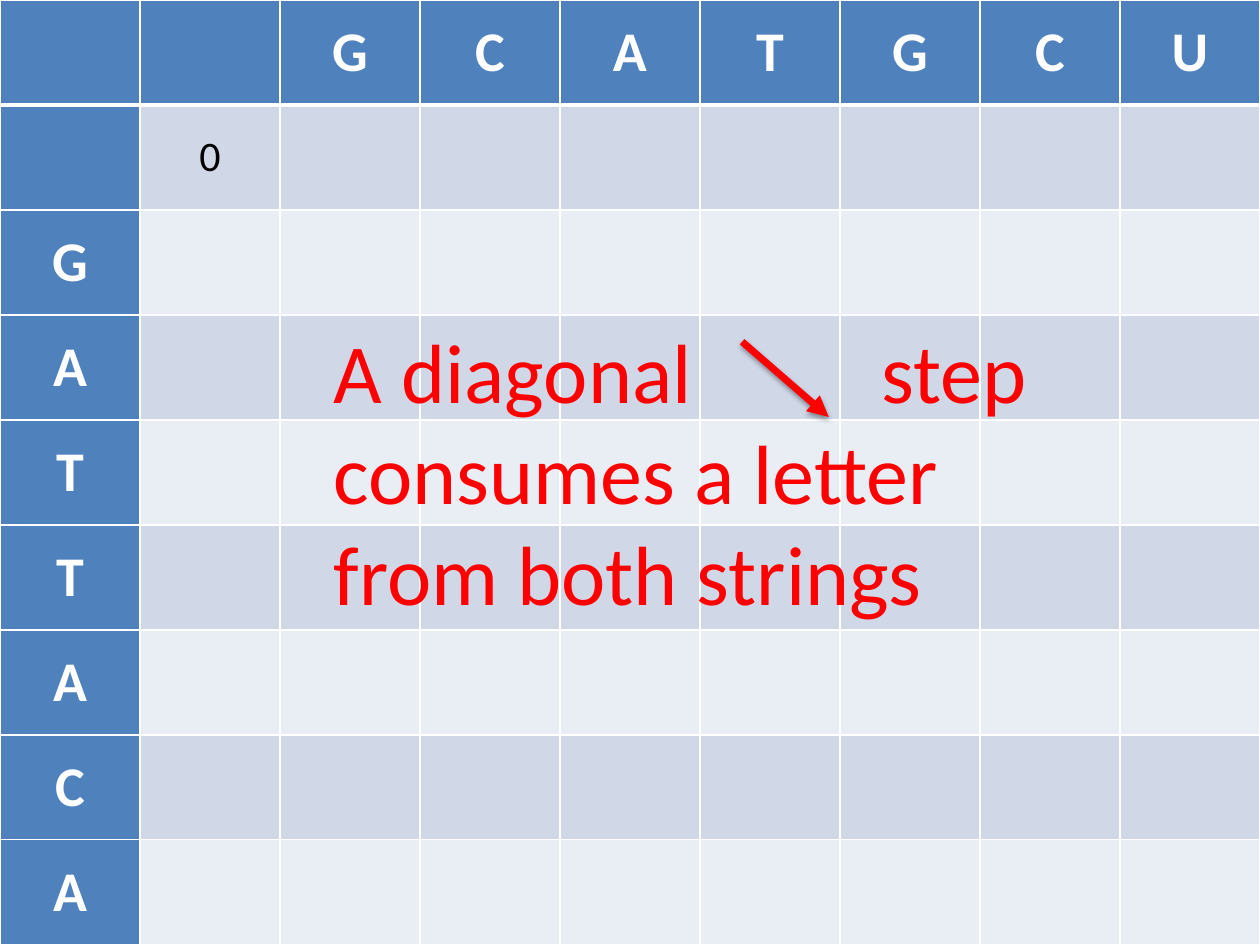
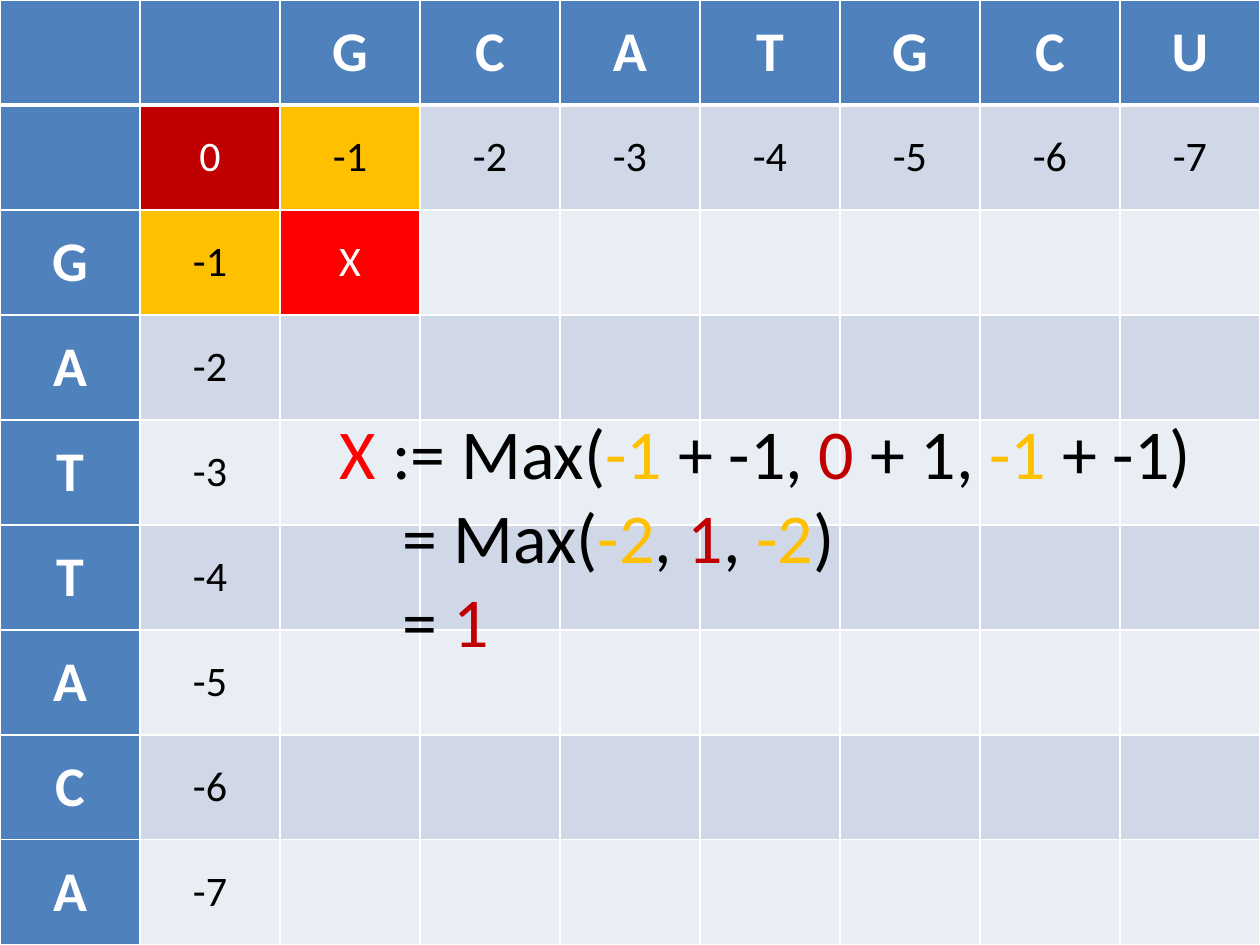
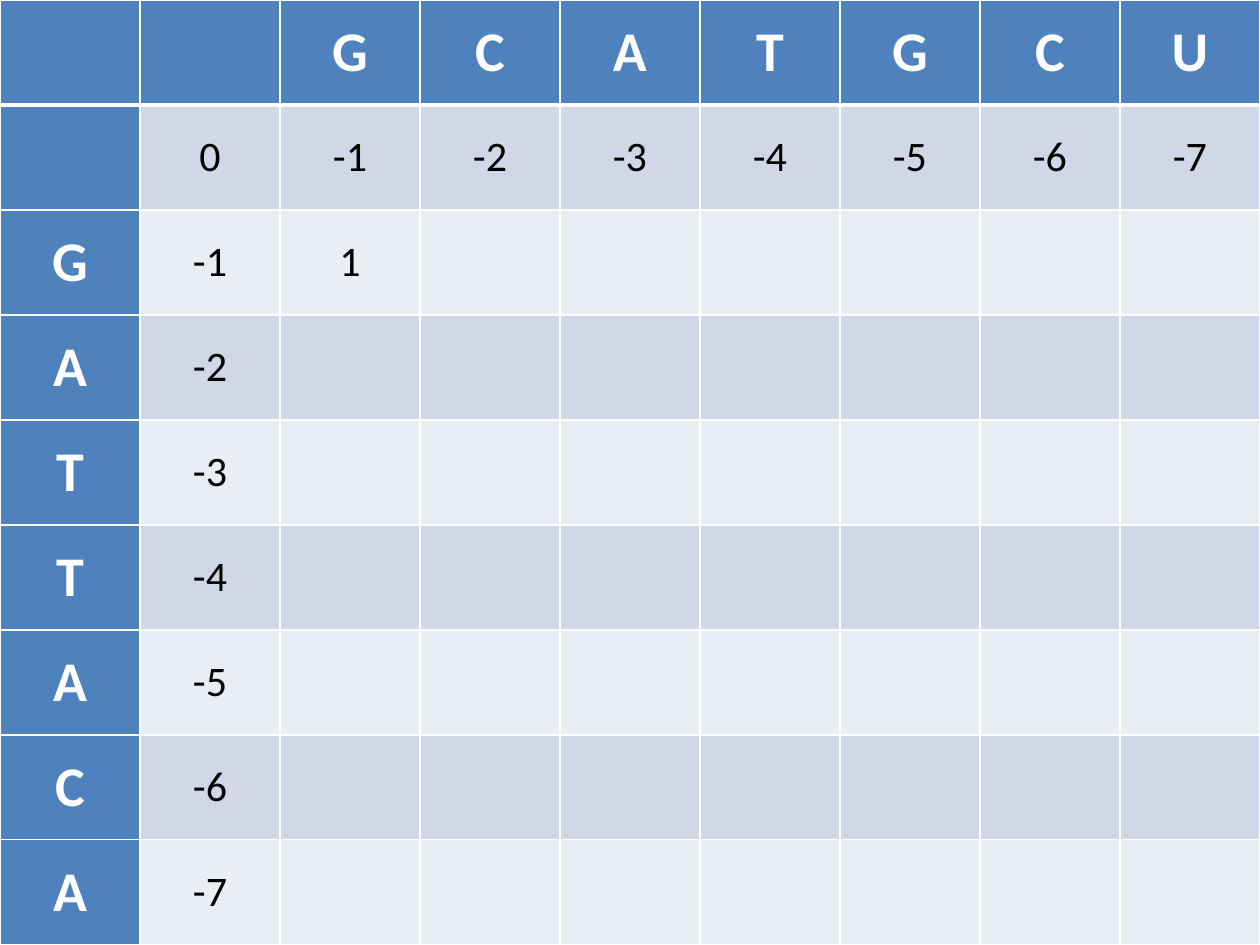
from lxml import etree
from pptx import Presentation
from pptx.dml.color import RGBColor
from pptx.enum import shapes, text
from pptx.oxml import ns
from pptx.util import Pt

COLORS = {
    "header": "4F81BD", "odd": "D0D8E8", "even": "E9EDF4",
    "white": "FFFFFF", "black": "000000",
    "red": "FF0000", "diagonal": "C00000", "neighbour": "FFC000",
}
FONT = "Calibri"
TOP_STRING, SIDE_STRING = "GCATGCU", "GATTACA"
SLIDE_W, SLIDE_H = 720, 540


def rgb(name):
    """Return the named colour."""
    return RGBColor.from_string(COLORS[name])


def sub(parent, tag, **attributes):
    """Append a drawing element to parent."""
    return etree.SubElement(parent, ns.qn(tag), attributes)


def set_font(font, size, color, bold=False):
    """Format a paragraph font."""
    font.name, font.size, font.bold = FONT, Pt(size), bold
    font.color.rgb = rgb(color)


def add_border(cell, side, width):
    """Give one side of a cell a white line."""
    line = sub(cell._tc.get_or_add_tcPr(), f"a:ln{side}", w=str(Pt(width)))
    sub(sub(line, "a:solidFill"), "a:srgbClr", val=COLORS["white"])


def fill_cell(cell, row, label, is_header, highlight):
    """Border, colour and label one cell of the scoring grid."""
    widths = {"L": 1, "R": 1, "T": 3 if row == 1 else 1, "B": 3 if row == 0 else 1}
    for side, width in widths.items():
        add_border(cell, side, width)
    band = "header" if is_header else "odd" if row % 2 else "even"
    fill, ink = highlight or (band, "white" if is_header else "black")
    cell.fill.solid()
    cell.fill.fore_color.rgb = rgb(fill)
    cell.vertical_anchor = text.MSO_ANCHOR.MIDDLE
    paragraph = cell.text_frame.paragraphs[0]
    paragraph.alignment = text.PP_ALIGN.CENTER
    set_font(paragraph.font, 32 if is_header else 24, ink, is_header)
    if label:
        paragraph.add_run().text = label


def add_grid(slide, box, scores, highlights):
    """Draw the alignment grid; scores and highlights are keyed by (row, column)."""
    left, top, width, height = box
    rows, columns = len(SIDE_STRING) + 2, len(TOP_STRING) + 2
    grid = slide.shapes.add_table(
        rows, columns, Pt(left), Pt(top), Pt(width), Pt(height)).table
    grid.first_col = True
    labels = dict(scores)
    labels.update({(0, i): letter for i, letter in enumerate(TOP_STRING, 2)})
    labels.update({(i, 0): letter for i, letter in enumerate(SIDE_STRING, 2)})
    for column in grid.columns:
        column.width = Pt(width / columns)
    for row in range(rows):
        grid.rows[row].height = Pt(height / rows)
        for column in range(columns):
            place = row, column
            fill_cell(grid.cell(row, column), row, labels.get(place),
                      0 in place, highlights.get(place))


def add_note(slide, box):
    """Add an empty wrapping text box and return its frame."""
    frame = slide.shapes.add_textbox(*map(Pt, box)).text_frame
    frame.word_wrap = True
    frame.auto_size = text.MSO_AUTO_SIZE.SHAPE_TO_FIT_TEXT
    return frame


def add_diagonal_note(slide, box):
    """Explain the diagonal step, with its arrow inside the sentence."""
    left, top, _, _ = box
    sentence = add_note(slide, box).paragraphs[0]
    sentence.text = "A diagonal\tstep consumes a letter from both strings"
    set_font(sentence.font, 48, "red")
    stops = sub(sentence._p.get_or_add_pPr(), "a:tabLst")
    sub(stops, "a:tab", pos=str(Pt(313)), algn="l")
    # The tab list stands before the default run properties.
    stops.getparent().insert(0, stops)

    arrow = slide.shapes.add_connector(
        shapes.MSO_CONNECTOR.STRAIGHT, Pt(left + 240.5), Pt(top + 16),
        Pt(left + 290), Pt(top + 59))
    arrow.line.color.rgb = rgb("red")
    arrow.line.width = Pt(4)
    sub(arrow.line._get_or_add_ln(), "a:tailEnd", type="triangle")
    shadow = sub(sub(arrow._element.spPr, "a:effectLst"), "a:outerShdw",
                 blurRad=str(Pt(3.1)), dist=str(Pt(1.6)), dir="5400000",
                 rotWithShape="0")
    sub(sub(shadow, "a:srgbClr", val=COLORS["black"]), "a:alpha", val="38000")


def add_formula(slide, box, lines):
    """Write coloured formula lines, indenting all but the first."""
    frame = add_note(slide, box)
    for number, parts in enumerate(lines):
        line = frame.add_paragraph() if number else frame.paragraphs[0]
        set_font(line.font, 40, "black")
        if number:
            line._p.get_or_add_pPr().set("marL", str(Pt(36)))
        for words, color in parts:
            run = line.add_run()
            run.text = words
            set_font(run.font, 40, color)


def add_grid_slide(deck, scores, highlights=None):
    """Add a slide filled by the alignment grid."""
    slide = deck.slides.add_slide(deck.slide_layouts[6])
    add_grid(slide, (0, 0, SLIDE_W, SLIDE_H), scores, highlights or {})
    return slide


GAP_SCORES = {(1, 1): "0"}
for step in range(1, len(TOP_STRING) + 1):
    GAP_SCORES[1, step + 1] = GAP_SCORES[step + 1, 1] = str(-step)

HIGHLIGHTS = {
    (1, 1): ("diagonal", "white"), (1, 2): ("neighbour", "black"),
    (2, 1): ("neighbour", "black"), (2, 2): ("red", "white"),
}
FORMULA = [
    [("X ", "red"), (":= Max(", "black"), ("-1 ", "neighbour"),
     ("+ -1, ", "black"), ("0 ", "diagonal"), ("+ 1, ", "black"),
     ("-1 ", "neighbour"), ("+ -1)", "black")],
    [("= Max(", "black"), ("-2", "neighbour"), (", ", "black"),
     ("1", "diagonal"), (", ", "black"), ("-2", "neighbour"), (")", "black")],
    [("= ", "black"), ("1", "diagonal")],
]

deck = Presentation()
deck.slide_width, deck.slide_height = Pt(SLIDE_W), Pt(SLIDE_H)

start = add_grid_slide(deck, {(1, 1): "0"})
add_diagonal_note(start, (183.6, 179.3, 447.8, 181.4))

choice = add_grid_slide(deck, {**GAP_SCORES, (2, 2): "X"}, HIGHLIGHTS)
add_formula(choice, (187.2, 230.4, 522.7, 152.6), FORMULA)

add_grid_slide(deck, {**GAP_SCORES, (2, 2): "1"})

deck.save("out.pptx")
